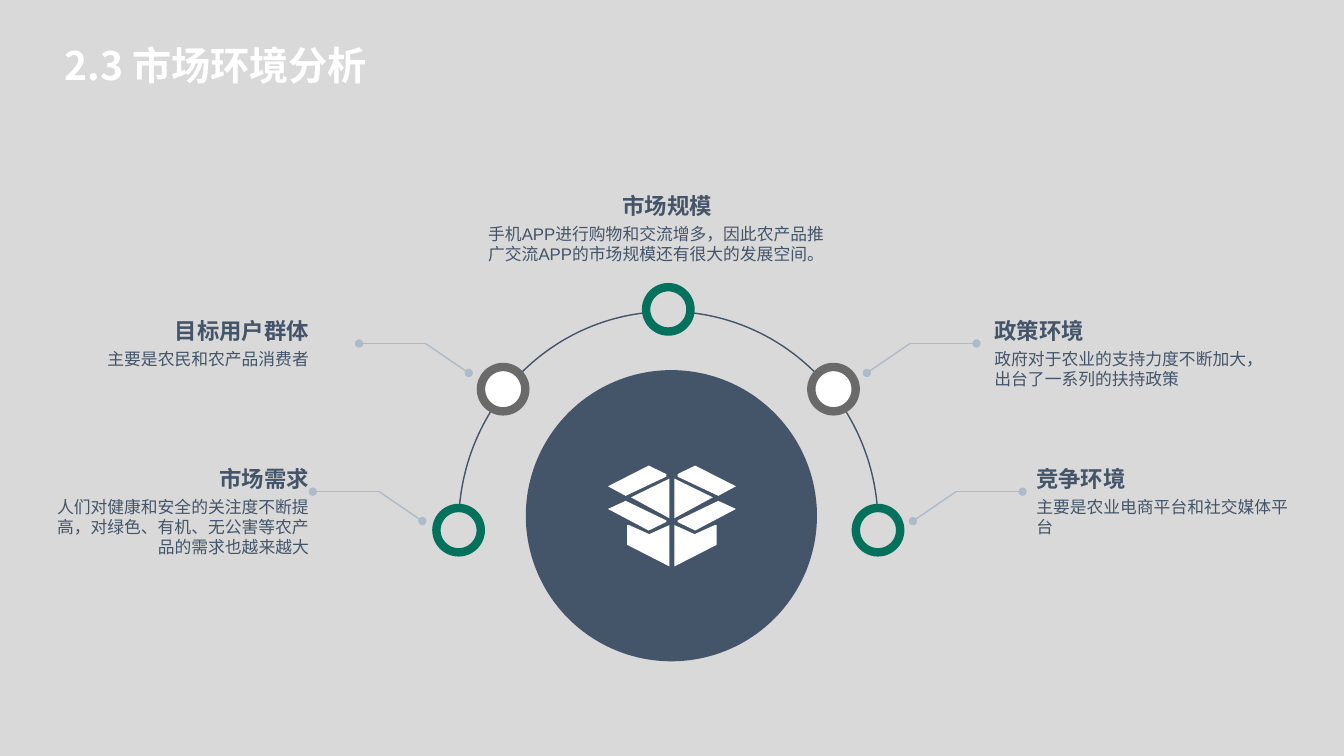
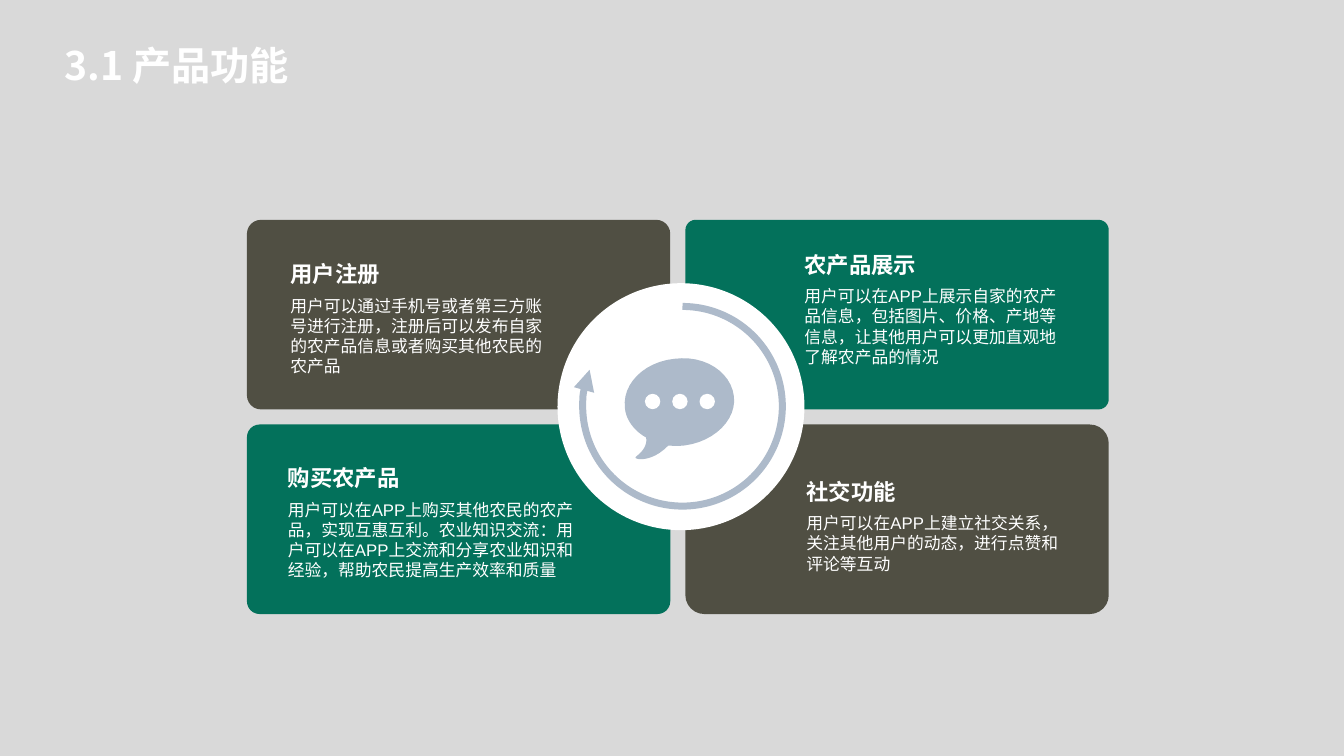
from dataclasses import dataclass

import pptx
import pptx.dml.color
import pptx.enum.shapes
import pptx.enum.text
import pptx.oxml
import pptx.oxml.ns
import pptx.util
from lxml import etree

Pt = pptx.util.Pt
SHAPE = pptx.enum.shapes.MSO_SHAPE
ALIGN = pptx.enum.text.PP_ALIGN


@dataclass(frozen=True)
class Theme:
    """Colours, fonts and type sizes of the deck."""
    background: str = "D9D9D9"
    white: str = "FFFFFF"
    navy: str = "445469"
    green: str = "03715B"
    grey: str = "6A6A6A"
    olive: str = "504F43"
    mist: str = "ADBACA"
    latin: str = "Arial"
    chinese: str = "Noto Sans CJK SC"
    title_size: int = 28
    heading_size: int = 16
    body_size: int = 12


THEME = Theme()

NODES = [
    (0, 221, THEME.background, THEME.green),
    (-118, 278, THEME.white, THEME.grey),
    (118, 278, THEME.white, THEME.grey),
    (-149.8, 378.7, THEME.background, THEME.green),
    (149.8, 378.7, THEME.background, THEME.green),
]

CALLOUTS = [
    (619.2, 266.4, 1, 710.3, "政策环境", "政府对于农业的支持力度不断加大，出台了一系列的扶持政策"),
    (652.1, 372.2, 1, 740.2, "竞争环境", "主要是农业电商平台和社交媒体平台"),
    (334.8, 266.4, -1, 36.7, "目标用户群体", "主要是农民和农产品消费者"),
    (301.7, 372.2, -1, 36.7, "市场需求",
     "人们对健康和安全的关注度不断提高，对绿色、有机、无公害等农产品的需求也越来越大"),
]

BOX_ICON_HALF = [
    [(-29.2, -13.3), (-1.8, -26.7), (-1.8, 1.6)],
    [(-45.7, -21.2), (-16.6, -36), (-4, -29.9), (-4, -28.1), (-33.1, -14.4)],
    [(-45.7, -5), (-33.1, -10.8), (-4, 3.2), (-4, 4.3), (-16.6, 10.4)],
    [(-32, 6.5), (-30.6, 6.5), (-16.2, 13), (-1.8, 6.5), (-1.8, 36), (-32, 20.6)],
]

BUBBLE_START = (77.8, 27.4)
BUBBLE_CURVES = [
    [(75.6, 10.1), (56.9, -2.2), (35.3, 0.7)],
    [(13.7, 2.9), (-2.2, 18.7), (0, 36)],
    [(0.7, 44.6), (7.2, 52.6), (15.1, 56.9)],
    [(15.8, 61.2), (14.4, 65.5), (7.9, 70.6)],
    [(5, 72.7), (18.7, 75.6), (31, 62.6)],
    [(34.6, 63), (38.9, 63), (42.5, 62.6)],
    [(64.1, 59.8), (79.9, 43.9), (77.8, 27.4)],
]

CARDS = [
    (THEME.olive, 0.074, 31, 29, 183.6, "用户注册",
     "用户可以通过手机号或者第三方账号进行注册，注册后可以发布自家的农产品信息或者购买其他农民的农产品"),
    (THEME.green, 0.054, 85, 22.3, 183.6, "农产品展示",
     "用户可以在APP上展示自家的农产品信息，包括图片、价格、产地等信息，让其他用户可以更加直观地了解农产品的情况"),
    (THEME.green, 0.067, 29.2, 28.5, 208, "购买农产品",
     "用户可以在APP上购买其他农民的农产品，实现互惠互利。农业知识交流：用户可以在APP上交流和分享农业知识和经验，"
     "帮助农民提高生产效率和质量"),
    (THEME.olive, 0.1, 86.4, 38.2, 183.6, "社交功能",
     "用户可以在APP上建立社交关系，关注其他用户的动态，进行点赞和评论等互动"),
]


def rgb(colour):
    """Turn a hex string into a colour."""
    return pptx.dml.color.RGBColor.from_string(colour)


def format_text(frame, size, colour, bold, latin=THEME.latin, align=ALIGN.LEFT):
    """Format the text of a frame."""
    frame.word_wrap = True
    frame.vertical_anchor = pptx.enum.text.MSO_ANCHOR.TOP
    for paragraph in frame.paragraphs:
        paragraph.alignment = align
        for run in paragraph.runs:
            run.font.size = Pt(size)
            run.font.bold = bold
            run.font.name = latin
            run.font.color.rgb = rgb(colour)
            east_asian = etree.SubElement(run.font._element, pptx.oxml.ns.qn("a:ea"))
            east_asian.set("typeface", THEME.chinese)


def place_text(slide, left, top, width, height, text, size, colour, bold=False, align=ALIGN.LEFT):
    """Place a text box without margins."""
    frame = slide.shapes.add_textbox(Pt(left), Pt(top), Pt(width), Pt(height)).text_frame
    frame.margin_left = frame.margin_top = frame.margin_right = frame.margin_bottom = 0
    frame.text = text
    format_text(frame, size, colour, bold, align=align)


def paint(shape, fill=None, line=None, weight=1):
    """Set fill and outline of a shape, without shadow."""
    shape.shadow.inherit = False
    if fill:
        shape.fill.solid()
        shape.fill.fore_color.rgb = rgb(fill)
    else:
        shape.fill.background()
    if line:
        shape.line.color.rgb = rgb(line)
        shape.line.width = Pt(weight)
    else:
        shape.line.fill.background()


def place_shape(slide, kind, left, top, width, height, adjustments=(), **style):
    """Place a painted preset shape."""
    shape = slide.shapes.add_shape(kind, Pt(left), Pt(top), Pt(width), Pt(height))
    for index, value in enumerate(adjustments):
        shape.adjustments[index] = value
    paint(shape, **style)
    return shape


def place_outline(slide, left, top, contours, fill):
    """Place one freeform made of closed contours relative to a point."""
    placed = [[(Pt(left + x), Pt(top + y)) for x, y in contour] for contour in contours]
    builder = slide.shapes.build_freeform(*placed[0][0])
    for index, contour in enumerate(placed):
        if index:
            builder.move_to(*contour[0])
        builder.add_line_segments(contour[1:], close=True)
    paint(builder.convert_to_shape(), fill=fill)


def add_line_end(line_format, tag, kind):
    """Add a head or tail end to a line."""
    end = etree.SubElement(line_format._get_or_add_ln(), pptx.oxml.ns.qn(tag))
    end.set("type", kind)


def place_leader(slide, start, finish, tag):
    """Place a thin connector with a dot at one end."""
    ends = [Pt(value) for value in (*start, *finish)]
    leader = slide.shapes.add_connector(pptx.enum.shapes.MSO_CONNECTOR.STRAIGHT, *ends)
    leader.line.color.rgb = rgb(THEME.mist)
    leader.line.width = Pt(1)
    add_line_end(leader.line, tag, "oval")
    etree.SubElement(leader._element.spPr, pptx.oxml.ns.qn("a:effectLst"))


def curve_points(start, curves, steps=12):
    """Sample a chain of cubic curves."""
    points = [start]
    for first, second, end in curves:
        origin = points[-1]
        for step in range(1, steps + 1):
            t = step / steps
            weights = ((1 - t) ** 3, 3 * t * (1 - t) ** 2, 3 * t * t * (1 - t), t ** 3)
            corners = (origin, first, second, end)
            points.append(tuple(sum(w * c[axis] for w, c in zip(weights, corners)) for axis in (0, 1)))
    return points


def add_titled_slide(deck, title):
    """Add a title-only slide with the shared title style."""
    slide = deck.slides.add_slide(deck.slide_layouts[5])
    heading = slide.shapes.title
    heading.left, heading.top, heading.width, heading.height = Pt(38.9), Pt(25.9), Pt(341.3), Pt(41)
    heading.text_frame.text = title
    format_text(heading.text_frame, THEME.title_size, THEME.white, True, THEME.chinese)
    return slide


def draw_hub(slide, left, top, width):
    """Draw the half ring, its nodes and the hub with an open box."""
    centre, radius, node = left + width / 2, 104, 31.7
    place_shape(slide, SHAPE.ARC, left, top, width, 305.2, (108, 0), line=THEME.navy)
    for offset, middle, fill, ring in NODES:
        place_shape(slide, SHAPE.OVAL, centre + offset - node / 2, middle - node / 2, node, node,
                    fill=fill, line=ring, weight=6)
    hub_x, hub_y = centre + 2.2, top + 145.9
    place_shape(slide, SHAPE.OVAL, hub_x - radius, hub_y - radius, 2 * radius, 2 * radius, fill=THEME.navy)
    mirrored = [[(-x, y) for x, y in contour] for contour in BOX_ICON_HALF]
    place_outline(slide, hub_x + 0.4, hub_y + 0.2, BOX_ICON_HALF + mirrored, THEME.white)


def draw_callout(slide, tip_x, tip_y, side, left, heading, body):
    """Draw a bent leader line and its text on one side."""
    bend = (tip_x + side * 30.8, tip_y - 21)
    place_leader(slide, (tip_x, tip_y), bend, "a:headEnd")
    place_leader(slide, bend, (bend[0] + side * 47.5, bend[1]), "a:tailEnd")
    align = ALIGN.LEFT if side > 0 else ALIGN.RIGHT
    place_text(slide, left, tip_y - 40, 184, 19.4, heading, THEME.heading_size, THEME.navy, True, align)
    place_text(slide, left, tip_y - 17.3, 184, 43.2, body, THEME.body_size, THEME.navy, align=align)


def build_market_slide(deck):
    """Build the market environment slide."""
    slide = add_titled_slide(deck, "2.3 市场环境分析")
    draw_hub(slide, 327.6, 222.5, 299.6)
    for callout in CALLOUTS:
        draw_callout(slide, *callout)
    place_text(slide, 384.5, 137.5, 184, 19.4, "市场规模", THEME.heading_size, THEME.navy, True, ALIGN.CENTER)
    place_text(slide, 343.4, 159.8, 250.6, 28.8,
               "手机APP进行购物和交流增多，因此农产品推广交流APP的市场规模还有很大的发展空间。",
               THEME.body_size, THEME.navy, align=ALIGN.CENTER)


def draw_card(slide, left, top, width, height, card):
    """Draw one rounded card with heading and body."""
    fill, corner, inset_x, inset_y, text_width, heading, body = card
    place_shape(slide, SHAPE.ROUNDED_RECTANGLE, left, top, width, height, (corner,), fill=fill)
    place_text(slide, left + inset_x, top + inset_y, 154, 19.4, heading, THEME.heading_size, THEME.white, True)
    place_text(slide, left + inset_x, top + inset_y + 25, text_width, 58, body, THEME.body_size, THEME.white)


def draw_dialogue(slide, left, top, size):
    """Draw the white disc with a round arrow and a speech bubble."""
    place_shape(slide, SHAPE.OVAL, left, top, size, size, fill=THEME.white)
    arrow = place_shape(slide, SHAPE.ARC, left + 18, top + 16.6, 142.6, 142.6, (162, 120.87),
                        line=THEME.mist, weight=5)
    add_line_end(arrow.line, "a:tailEnd", "triangle")
    bubble_x, bubble_y, dot = left + 48.2, top + 53.3, 11
    place_outline(slide, bubble_x, bubble_y, [curve_points(BUBBLE_START, BUBBLE_CURVES)], THEME.mist)
    for index in range(3):
        place_shape(slide, SHAPE.OVAL, bubble_x + 14.3 + 19.5 * index, bubble_y + 25.7, dot, dot,
                    fill=THEME.white)


def build_features_slide(deck):
    """Build the product features slide."""
    slide = add_titled_slide(deck, "3.1 产品功能")
    left, top, width, height, gap = 176.4, 157, 302.4, 135.4, 10.8
    for index, card in enumerate(CARDS):
        row, column = divmod(index, 2)
        draw_card(slide, left + column * (width + gap), top + row * (height + gap), width, height, card)
    draw_dialogue(slide, 398.2, 202.3, 176.4)


def main():
    """Build and save the deck."""
    deck = pptx.Presentation()
    deck.slide_width, deck.slide_height = Pt(960), Pt(540)
    backdrop = deck.slide_master.background.fill
    backdrop.solid()
    backdrop.fore_color.rgb = rgb(THEME.background)
    build_market_slide(deck)
    build_features_slide(deck)
    deck.save("out.pptx")


if __name__ == "__main__":
    main()
